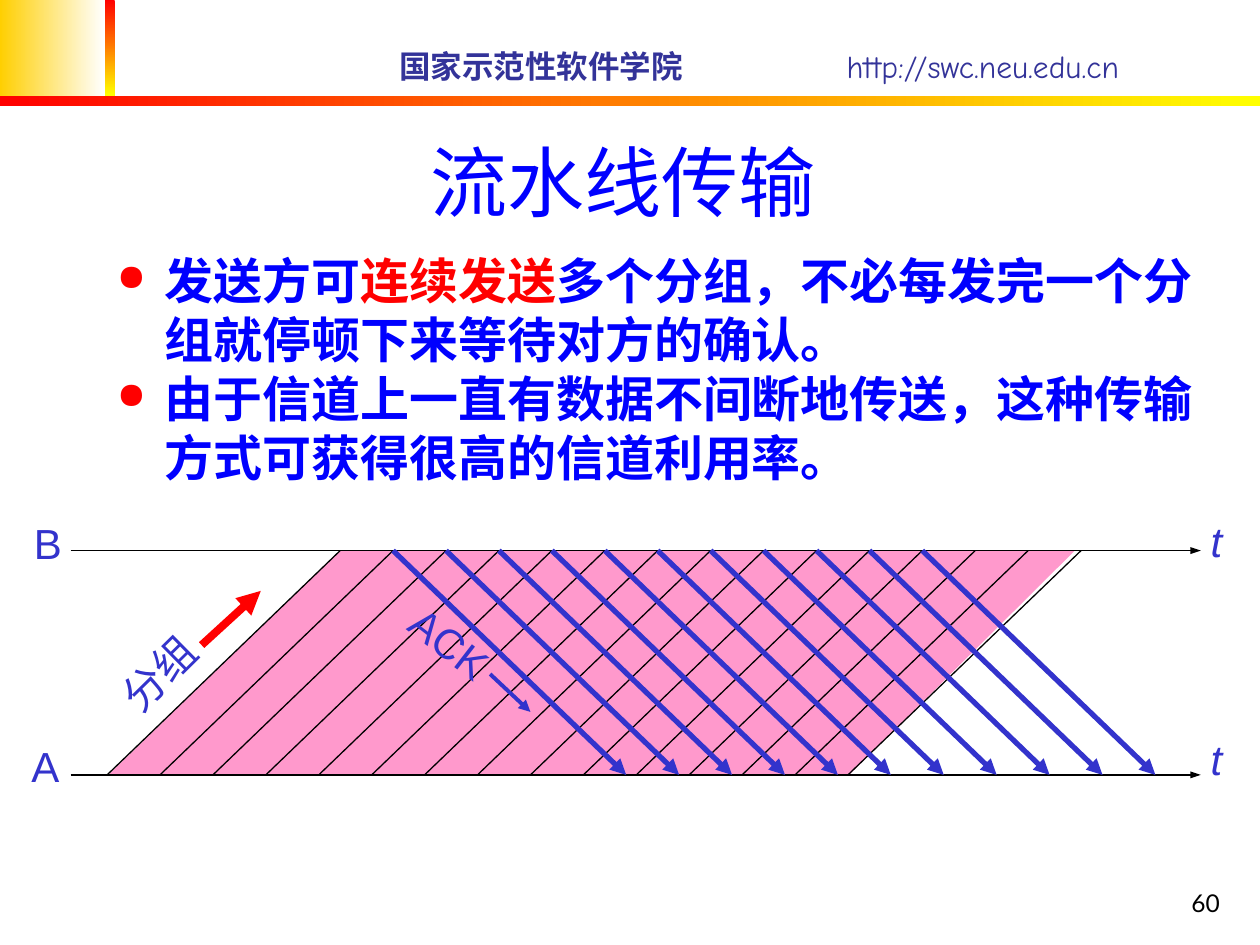
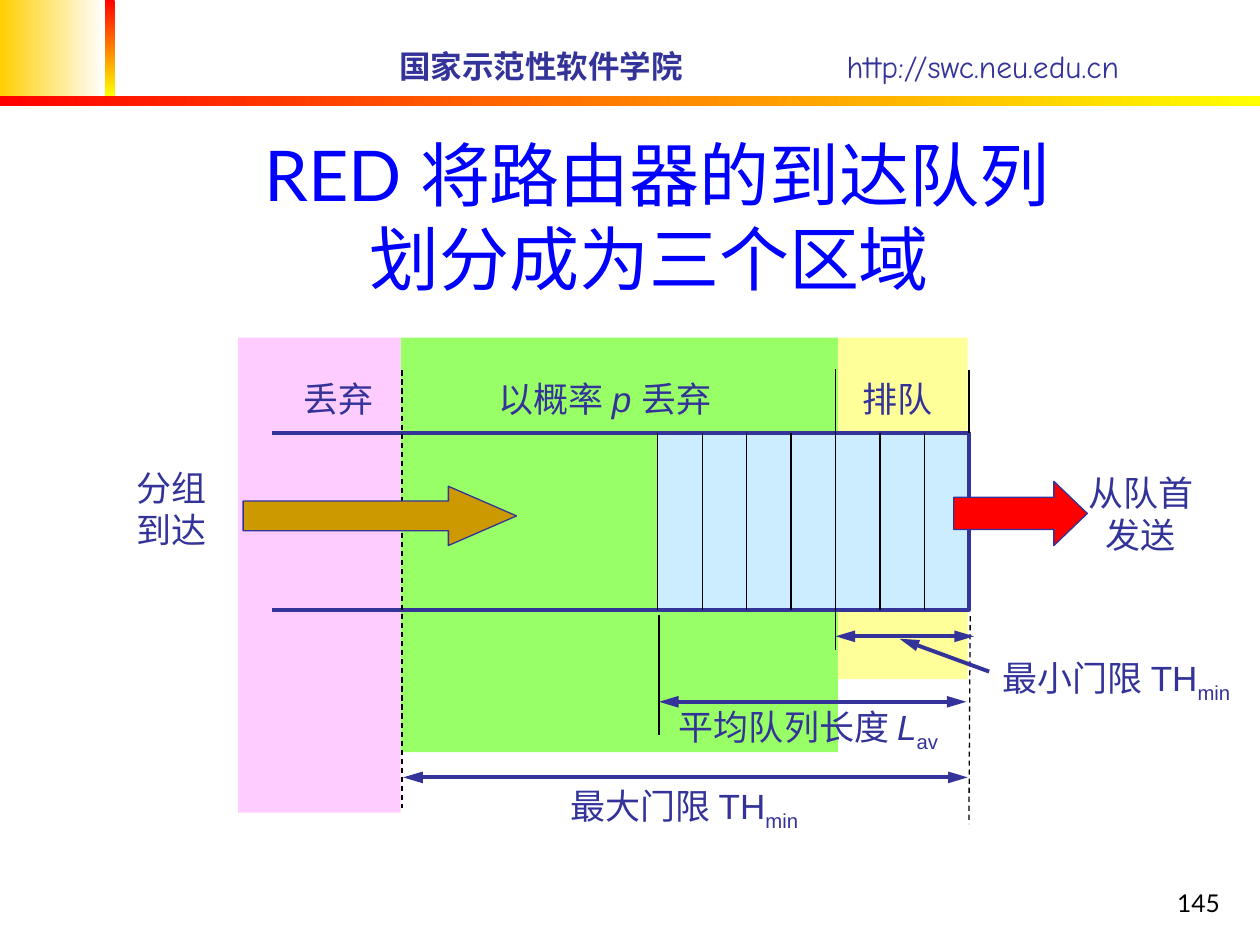
from dataclasses import dataclass
from lxml.etree import SubElement
from pptx import Presentation
from pptx.dml.color import RGBColor
from pptx.enum.dml import MSO_LINE_DASH_STYLE as Dash
from pptx.enum.shapes import MSO_CONNECTOR as Connector, MSO_SHAPE as Shape
from pptx.enum.text import MSO_ANCHOR as Anchor, MSO_AUTO_SIZE as AutoSize, PP_ALIGN as Align
from pptx.oxml.ns import qn
from pptx.util import Inches, Pt


@dataclass(frozen=True)
class Theme:
    blue: str = "0000FF"
    navy: str = "333399"
    indigo: str = "3333CC"
    red: str = "FF0000"
    yellow: str = "FFFF00"
    gold: str = "FFCF01"
    white: str = "FFFFFF"
    black: str = "000000"
    pink: str = "FF99CC"
    lilac: str = "FFCCFF"
    green: str = "99FF66"
    cream: str = "FFFF99"
    sky: str = "CCECFF"
    ochre: str = "CC9900"
    main_font: str = "Lato"
    label_font: str = "Arial"
    header_font: str = "Comic Neue"
    thin: float = 0.75
    medium: float = 2.25
    thick: float = 3


T = Theme()

# ---- Type styles ----
HEADER = dict(name=T.header_font, size=18, color=T.navy)
TITLE = dict(name=T.main_font, size=44, color=T.blue)
BODY = dict(name=T.main_font, size=28, color=T.blue, bold=True)
NUMBER = dict(name=T.main_font, size=14, color=T.black)
AXIS = dict(name=T.label_font, size=24, color=T.indigo)
QUEUE = dict(name=T.label_font, size=20, color=T.navy)
ITALIC = dict(italic=True)
SUB = dict(baseline=-25000)

# ---- Shared content: one grid unit is an inch on a 10 x 7.5 page ----
WIDTH, HEIGHT = 10, 7.5
BANDS = [  # place, first colour, last colour, angle
    ((0, 0, 0.83, 0.76), T.gold, T.white, 0),
    ((0.83, 0, 0.08, 0.76), T.red, T.yellow, 270),
    ((0, 0.76, WIDTH, 0.08), T.red, T.yellow, 0),
]
HEADERS = [
    ((3.07, 0.32, 3, 0.4), "国家示范性软件学院", dict(bold=True)),
    ((6.62, 0.32, 3.15, 0.4), "http://swc.neu.edu.cn", {}),
]

# ---- Pipelining content ----
PIPELINE_BODY = [
    ["发送方可", ("连续发送", dict(color=T.red)), "多个分组，不必每发完一个分组就停顿下来等待对方的确认。"],
    ["由于信道上一直有数据不间断地传送，这种传输方式可获得很高的信道利用率。"],
]
TOP, BOTTOM = 4.37, 6.15
FIRST_SEND, STEP, DELAY = 0.85, 0.42, 1.85
PACKETS, ACKS = 15, 11
PIPELINE_LABELS = [  # place, text, rotation, format
    ((0.17, 4.06, 0.42, 0.5), "B", 0, {}),
    ((0.15, 5.83, 0.42, 0.5), "A", 0, {}),
    ((9.51, 4.04, 0.29, 0.5), "t", 0, ITALIC),
    ((9.51, 5.77, 0.29, 0.5), "t", 0, ITALIC),
    ((0.83, 5.09, 0.86, 0.5), "分组", 315.3, {}),
    ((3.13, 4.85, 0.88, 0.5), "ACK", 37.8, {}),
]

# ---- Queue content ----
REGION_TOP = 2.68
REGIONS = [  # left, width, height, colour
    (3.18, 3.47, 3.29, T.green),
    (6.65, 1.03, 2.71, T.cream),
    (1.89, 1.29, 3.77, T.lilac),
]
QUEUE_LEFT, CELLS_LEFT, QUEUE_RIGHT = 2.16, 5.22, 7.69
QUEUE_TOP, QUEUE_BOTTOM = 3.44, 4.84
CELLS, MIN_CELL = 7, 4
CELL = (QUEUE_RIGHT - CELLS_LEFT) / CELLS
MIN_LEFT = CELLS_LEFT + MIN_CELL * CELL
GUIDES = [  # start, end, dash
    ((3.19, 2.94), (3.19, 6.41), Dash.DASH),
    ((QUEUE_RIGHT, 2.94), (QUEUE_RIGHT, QUEUE_TOP), None),
    ((7.7, 4.89), (QUEUE_RIGHT, 6.54), Dash.DASH),
    ((5.23, 4.88), (5.23, 5.83), None),
]
SPANS = [(MIN_LEFT, 7.73, 5.05), (5.23, 7.67, 5.57), (3.2, 7.68, 6.17)]
BLOCK_ARROWS = [  # place, head length, colour
    ((7.57, 3.82, 1.06, 0.51), 0.52, T.red),
    ((1.93, 3.86, 2.17, 0.47), 1.15, T.ochre),
]
QUEUE_LABELS = [  # place, paragraphs, alignment
    ((8.54, 3.69, 1.03, 0.77), [["从队首"], ["发送"]], Align.CENTER),
    ((0.99, 3.65, 0.75, 0.77), [["分组"], ["到达"]], Align.CENTER),
    ((7.86, 5.16, 2.14, 0.48), [["最小门限 TH", ("min", SUB)]], None),
    ((4.43, 6.18, 2.15, 0.48), [["最大门限 TH", ("min", SUB)]], None),
    ((5.29, 5.55, 2.4, 0.48), [["平均队列长度 ", ("L", ITALIC), ("av", SUB)]], None),
    ((6.75, 2.95, 0.75, 0.44), [["排队"]], None),
    ((2.31, 2.95, 0.75, 0.44), [["丢弃"]], None),
    ((3.86, 2.95, 2.09, 0.44), [["以概率 ", ("p ", ITALIC), "丢弃"]], None),
]


# ---- Drawing helpers ----
def rgb(color):
    return RGBColor.from_string(color)


def place_of(place):
    return [Inches(value) for value in place]


def format_span(span, style):
    for key, value in style.items():
        if key == "color":
            span.font.color.rgb = rgb(value)
        elif key == "baseline":
            span._r.get_or_add_rPr().set(key, str(value))
        else:
            setattr(span.font, key, Pt(value) if key == "size" else value)


def add_bullet(para):
    props = para._p.get_or_add_pPr()
    for key, sign in (("marL", 1), ("indent", -1)):
        props.set(key, str(sign * Inches(0.38)))
    color = SubElement(props, qn("a:buClr"))
    SubElement(color, qn("a:srgbClr"), val=T.red)
    SubElement(props, qn("a:buSzPct"), val="75000")
    SubElement(props, qn("a:buChar"), char="●")


def add_text(page, place, paragraphs, style, align=None, anchor=Anchor.TOP,
             wrap=False, bullets=False, rotation=0):
    box = page.shapes.add_textbox(*place_of(place))
    box.rotation = rotation
    frame = box.text_frame
    frame.word_wrap = wrap
    frame.auto_size = AutoSize.NONE if wrap else AutoSize.SHAPE_TO_FIT_TEXT
    frame.vertical_anchor = anchor
    if not wrap:  # tight side margins keep a short label on one line
        sides = (0.05, 0.05) if align == Align.CENTER else (0.1, 0)
        frame.margin_left, frame.margin_right = place_of(sides)
    for index, parts in enumerate(paragraphs):
        para = frame.add_paragraph() if index else frame.paragraphs[0]
        if bullets:
            add_bullet(para)
        para.alignment = align
        for part in parts:
            text, changes = (part, {}) if isinstance(part, str) else part
            for row, piece in enumerate(text.split("\n")):
                if row:
                    para.add_line_break()
                span = para.add_run()
                span.text = piece
                format_span(span, {**style, **changes})


def paint(shape, fill=None, line=None, width=T.thin):
    shape.shadow.inherit = False
    if fill:
        shape.fill.solid()
        shape.fill.fore_color.rgb = rgb(fill)
    else:
        shape.fill.background()
    if line:
        shape.line.color.rgb = rgb(line)
        shape.line.width = Pt(width)
    else:
        shape.line.fill.background()
    return shape


def add_block(page, place, fill, kind=Shape.RECTANGLE, line=None):
    return paint(page.shapes.add_shape(kind, *place_of(place)), fill, line)


def add_outline(page, points, closed, **look):
    start, *rest = [place_of(point) for point in points]
    builder = page.shapes.build_freeform(*start, scale=1.0)
    builder.add_line_segments(rest, close=closed)
    paint(builder.convert_to_shape(), **look)


def add_line(page, start, end, color=T.black, width=T.thin, ends=(),
             head=("med", "med"), dash=None):
    line = page.shapes.add_connector(Connector.STRAIGHT, *place_of(start + end))
    line.line.color.rgb = rgb(color)
    line.line.width = Pt(width)
    if dash:
        line.line.dash_style = dash
    for side in ends:
        SubElement(line.line._get_or_add_ln(), qn(f"a:{side}End"),
                   type="triangle", w=head[0], len=head[1])
    SubElement(line._element.spPr, qn("a:effectLst"))


def add_page(deck, number):
    page = deck.slides.add_slide(deck.slide_layouts[6])
    for place, first, last, angle in BANDS:
        band = add_block(page, place, T.white)
        band.fill.gradient()
        band.fill.gradient_angle = angle
        for stop, color in zip(band.fill.gradient_stops, (first, last)):
            stop.color.rgb = rgb(color)
    for place, text, changes in HEADERS:
        add_text(page, place, [[text]], {**HEADER, **changes}, anchor=Anchor.MIDDLE)
    add_text(page, (7.7, 6.83, 2.08, 0.5), [[str(number)]], NUMBER,
             Align.RIGHT, Anchor.BOTTOM, wrap=True)
    return page


def add_title(page, left, top, text, size):
    add_text(page, (left, top, 9.53, 1.6), [[text]], {**TITLE, "size": size},
             Align.CENTER, Anchor.BOTTOM, wrap=True)


# ---- Slides ----
def build_pipeline(deck):
    page = add_page(deck, 60)
    add_title(page, 0.25, 0.25, "流水线传输 ", 44)
    add_text(page, (0.83, 1.94, 8.81, 2.28), PIPELINE_BODY, BODY, wrap=True, bullets=True)

    # Packet stream and time axes
    sends = [FIRST_SEND + STEP * index for index in range(PACKETS)]
    stream = [(0.86, BOTTOM), (2.7, TOP), (8.53, TOP), (6.74, BOTTOM)]
    add_outline(page, stream, True, fill=T.pink)
    for level in (TOP, BOTTOM):
        add_line(page, (0.56, level), (9.53, level), ends=["tail"], head=("sm", "med"))
    for send in sends:
        add_line(page, (send, BOTTOM), (send + DELAY, TOP))

    # Acknowledgements start once each packet has fully arrived
    for send in sends[1:ACKS + 1]:
        arrival = send + DELAY
        add_line(page, (arrival, TOP), (arrival + DELAY, BOTTOM), T.indigo, T.thick, ["tail"])

    # Labels and direction arrows
    for place, text, rotation, changes in PIPELINE_LABELS:
        add_text(page, place, [[text]], {**AXIS, **changes}, rotation=rotation)
    add_line(page, (1.6, 5.12), (2.07, 4.69), T.red, 4.5, ["tail"])
    add_line(page, (3.89, 5.35), (4.21, 5.65), T.indigo, T.medium, ["tail"])


def build_queue(deck):
    page = add_page(deck, 145)
    for left, width, height, color in REGIONS:
        add_block(page, (left, REGION_TOP, width, height), color)
    add_title(page, 0.45, 0.83, "RED 将路由器的到达队列\n划分成为三个区域 ", 40)

    # Queue with its occupied cells
    depth = QUEUE_BOTTOM - QUEUE_TOP
    add_block(page, (CELLS_LEFT, QUEUE_TOP, QUEUE_RIGHT - CELLS_LEFT, depth), T.sky)
    walls = [(QUEUE_LEFT, QUEUE_TOP), (QUEUE_RIGHT, QUEUE_TOP),
             (QUEUE_RIGHT, QUEUE_BOTTOM), (QUEUE_LEFT, QUEUE_BOTTOM)]
    add_outline(page, walls, False, line=T.navy, width=T.medium)
    for index in range(CELLS):
        left = CELLS_LEFT + index * CELL
        top, bottom = (2.93, 5.16) if index == MIN_CELL else (QUEUE_TOP, QUEUE_BOTTOM)
        add_line(page, (left, top), (left, bottom))
    for start, end, dash in GUIDES:
        add_line(page, start, end, dash=dash)

    # Flow arrows, labels and measures
    for place, head, color in BLOCK_ARROWS:
        arrow = add_block(page, place, color, Shape.RIGHT_ARROW, T.navy)
        arrow.adjustments[1] = head
    for place, paragraphs, align in QUEUE_LABELS:
        add_text(page, place, paragraphs, QUEUE, align)
    pointer = dict(color=T.navy, width=T.medium, head=("med", "lg"))
    for left, right, level in SPANS:
        add_line(page, (left, level), (right, level), ends=["head", "tail"], **pointer)
    add_line(page, (7.85, 5.33), (7.14, 5.07), ends=["tail"], **pointer)


def main():
    deck = Presentation()
    deck.slide_width, deck.slide_height = Inches(WIDTH), Inches(HEIGHT)
    build_pipeline(deck)
    build_queue(deck)
    deck.save("out.pptx")


if __name__ == "__main__":
    main()
